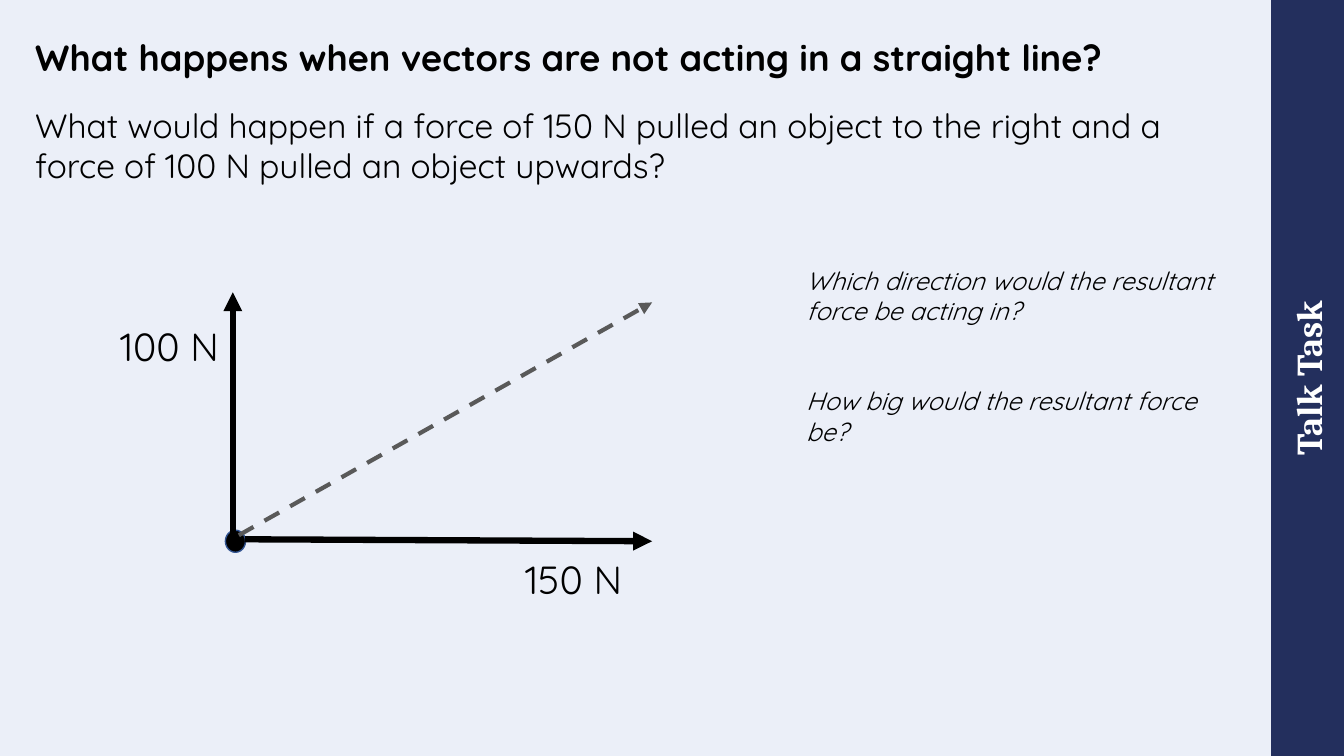
from dataclasses import dataclass

from pptx import Presentation
from pptx.dml.color import RGBColor
from pptx.enum.dml import MSO_LINE
from pptx.enum.shapes import MSO_CONNECTOR, MSO_SHAPE
from pptx.enum.text import MSO_ANCHOR, PP_ALIGN
from pptx.oxml.ns import qn
from pptx.oxml.xmlchemy import OxmlElement
from pptx.util import Pt

LEFT, CENTER, RIGHT = PP_ALIGN.LEFT, PP_ALIGN.CENTER, PP_ALIGN.RIGHT
TOP, MIDDLE, BOTTOM = MSO_ANCHOR.TOP, MSO_ANCHOR.MIDDLE, MSO_ANCHOR.BOTTOM
RECTANGLE, OVAL = MSO_SHAPE.RECTANGLE, MSO_SHAPE.OVAL
STRAIGHT = MSO_CONNECTOR.STRAIGHT
DASH = MSO_LINE.DASH


@dataclass(frozen=True)
class Theme:
    background: RGBColor = RGBColor.from_string("EBEFF8")
    sidebar: RGBColor = RGBColor.from_string("232F5D")
    white: RGBColor = RGBColor.from_string("FFFFFF")
    ink: RGBColor = RGBColor.from_string("000000")
    outline: RGBColor = RGBColor.from_string("325491")
    resultant: RGBColor = RGBColor.from_string("595959")
    body_font: str = "Quicksand"
    label_font: str = "Cambria"
    title_size: float = 26
    force_size: float = 28
    body_size: float = 24
    question_size: float = 18


class Board:
    def __init__(self, slide, theme):
        self.s = slide
        self.theme = theme
        fill = slide.background.fill
        fill.solid()
        fill.fore_color.rgb = theme.background

    def set_text(self, sp, paragraphs, size, align=LEFT, anchor=TOP,
                 inset=True, font=None, color=None, bold=False, italic=False,
                 gap=0, spacing=None):
        tf = sp.text_frame
        tf.word_wrap = True
        tf.vertical_anchor = anchor
        if not inset:
            tf.margin_left = tf.margin_right = 0
            tf.margin_top = tf.margin_bottom = 0
        for i, text in enumerate(paragraphs):
            p = tf.add_paragraph() if i else tf.paragraphs[0]
            p.text = text
            p.alignment = align
            if i:
                p.space_before = Pt(gap)
            if spacing:
                p.line_spacing = spacing
            p.font.name = font or self.theme.body_font
            p.font.size = Pt(size)
            p.font.bold = bold
            p.font.italic = italic
            p.font.color.rgb = color or self.theme.ink

    def text(self, box, paragraphs, size, **style):
        sp = self.s.shapes.add_textbox(*map(Pt, box))
        self.set_text(sp, paragraphs, size, **style)

    def shape(self, kind, box, fill, outline=None):
        sp = self.s.shapes.add_shape(kind, *map(Pt, box))
        sp.shadow.inherit = False
        sp.fill.solid()
        sp.fill.fore_color.rgb = fill
        if outline:
            sp.line.color.rgb = outline
            sp.line.width = Pt(1)
        else:
            sp.line.fill.background()
        return sp

    def sidebar(self, box, label):
        sp = self.shape(RECTANGLE, box, self.theme.sidebar)
        sp.rotation = 270
        self.set_text(sp, [label], self.theme.title_size, align=CENTER,
                      anchor=MIDDLE, inset=False, font=self.theme.label_font,
                      color=self.theme.white, bold=True)

    def arrow(self, start, end, color, width, dash=None):
        c = self.s.shapes.add_connector(STRAIGHT, *map(Pt, start + end))
        c.line.color.rgb = color
        c.line.width = Pt(width)
        if dash:
            c.line.dash_style = dash
        properties = c._element.spPr
        head = OxmlElement("a:tailEnd")
        head.set("type", "triangle")
        properties.find(qn("a:ln")).append(head)
        properties.append(OxmlElement("a:effectLst"))


def main():
    prs = Presentation()
    prs.slide_width, prs.slide_height = Pt(960), Pt(540)
    theme = Theme()
    board = Board(prs.slides.add_slide(prs.slide_layouts[6]), theme)

    board.sidebar((664, 244, 540, 52), "Talk Task")
    board.text((25.2, 0, 836, 56.9),
               ["What happens when vectors are not acting in a straight line?"],
               theme.title_size, anchor=BOTTOM, inset=False, bold=True,
               spacing=0.9)

    board.shape(OVAL, (161, 378.7, 14.4, 15.8), theme.ink, theme.outline)
    board.arrow((175, 385.2), (465.8, 386.6), theme.ink, 4.5)
    board.arrow((166.3, 386.6), (166.3, 208.8), theme.ink, 4.5)
    for box, force in (((338.4, 393.1, 113, 41), "150 N"),
                       ((54.7, 226.8, 108.7, 41), "100 N")):
        board.text(box, [force], theme.force_size, align=RIGHT)

    board.text((18, 71.3, 836, 65.5),
               ["What would happen if a force of 150 N pulled an object to the "
                "right and a force of 100 N pulled an object upwards?"],
               theme.body_size)
    board.text((568.8, 185.8, 311.8, 159.8),
               ["Which direction would the resultant force be acting in?",
                "How big would the resultant force be?"],
               theme.question_size, italic=True, gap=43)
    board.arrow((170.6, 382.3), (465.8, 216), theme.resultant, 3, DASH)

    prs.save("out.pptx")


if __name__ == "__main__":
    main()
